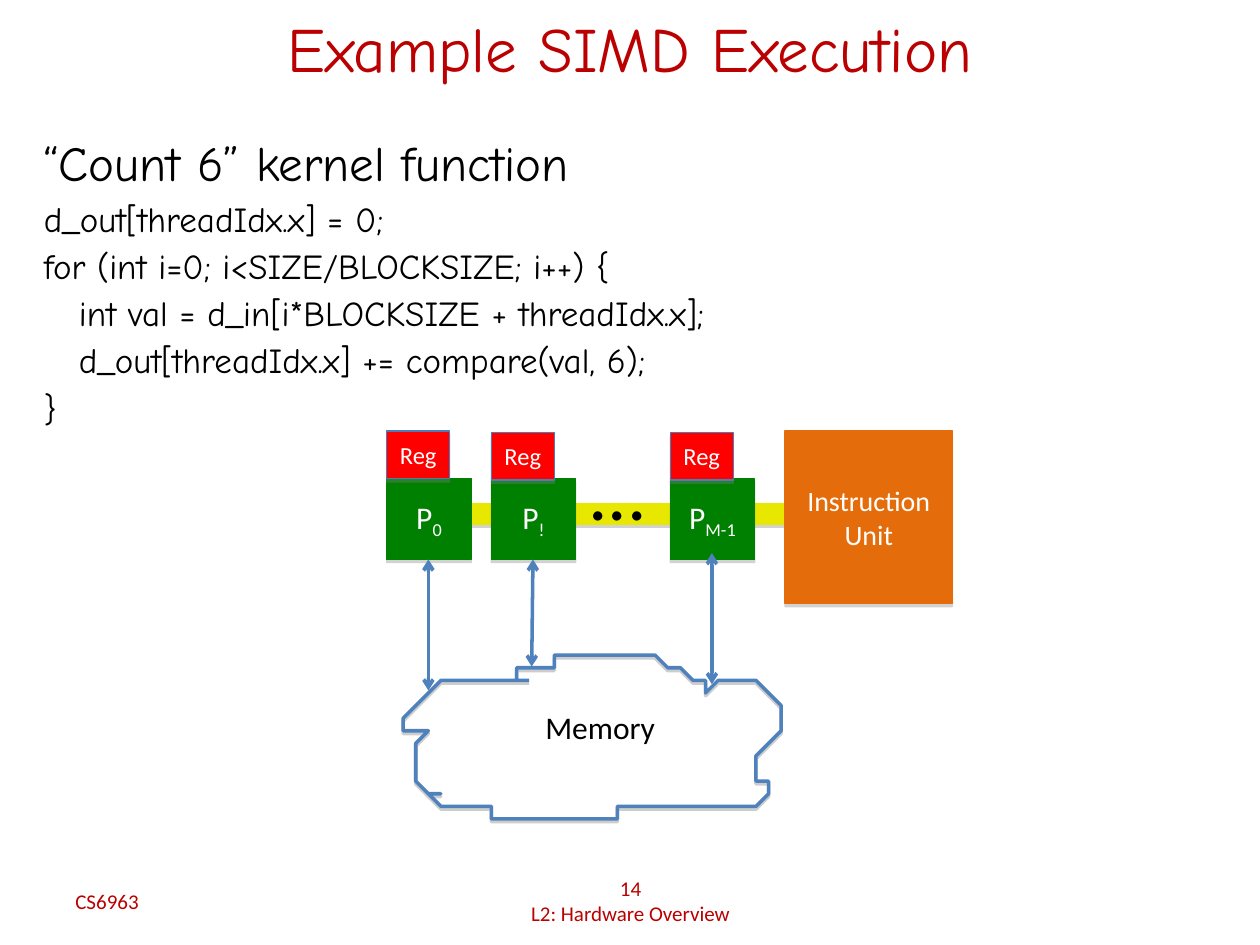
from dataclasses import dataclass

from lxml.etree import SubElement
from pptx import Presentation
from pptx.dml.color import RGBColor
from pptx.enum.shapes import MSO_CONNECTOR, MSO_SHAPE
from pptx.enum.text import MSO_ANCHOR, PP_ALIGN
from pptx.oxml.ns import qn
from pptx.util import Inches, Pt

COLORS = {
    "title": "BA0000", "text": "000000", "label": "FFFFFF", "bus": "E7E700",
    "core": "008000", "unit": "E46C0A", "register": "FF0000",
    "register_edge": "4A7EBB", "link": "4F81BD", "shadow": "808080",
}
COLUMNS, ROWS = 100, 75
CELL = Inches(0.1)
HEAD_FONT, BODY_FONT = "Comic Neue", "Calibri"


@dataclass
class Box:
    col: float
    row: float
    cols: float
    rows: float


@dataclass
class Core:
    col: float
    index: str
    register_row: float
    arrow_top: float
    arrow_end: tuple[float, float]


@dataclass
class Caption:
    box: Box
    text: str
    size: float
    color: str = "text"
    font: str = BODY_FONT
    align: PP_ALIGN = PP_ALIGN.LEFT
    anchor: MSO_ANCHOR = MSO_ANCHOR.TOP
    wrap: bool = True


CORES = [
    Core(30.7, "0", 34.2, 44.4, (34, 54.8)),
    Core(39, "!", 34.3, 44.4, (42.2, 52.9)),
    Core(53.2, "M-1", 34.3, 43.9, (56.5, 54.3)),
]

CAPTIONS = [
    Caption(Box(5, -2.5, 90, 12.5), "Example SIMD Execution", 36, "title", HEAD_FONT,
            PP_ALIGN.CENTER, MSO_ANCHOR.MIDDLE),
    Caption(Box(45.7, 34.7, 7.5, 8.4), "...", 44),
    Caption(Box(42.3, 55.7, 10.7, 4), "Memory", 18, wrap=False),
    Caption(Box(5, 69.5, 23.3, 4), "CS6963", 12, "title", anchor=MSO_ANCHOR.MIDDLE),
    Caption(Box(34.2, 69.5, 31.7, 4), "14\nL2: Hardware Overview", 12, "title",
            align=PP_ALIGN.CENTER, anchor=MSO_ANCHOR.MIDDLE),
]

KERNEL = """“Count 6” kernel function
d_out[threadIdx.x] = 0;
for (int i=0; i<SIZE/BLOCKSIZE; i++) {
   int val = d_in[i*BLOCKSIZE + threadIdx.x];
   d_out[threadIdx.x] += compare(val, 6);
}"""

CLOUD = [
    (42.5, 54), (40.3, 53.9), (38.7, 53.8), (37, 53.9), (35.3, 54), (34.8, 54.4),
    (33.5, 55.4), (33, 56), (33.1, 56.1), (32.7, 56.4), (32.3, 57.2), (32.2, 57.6),
    (32.3, 58.1), (32.8, 58.4), (33.7, 58.5), (33.2, 58.8), (32.8, 59.3), (32.7, 60.2),
    (33, 62.2), (33.3, 62.4), (34.1, 62.8), (35, 63.3), (34.3, 62.9), (35.2, 63.6),
    (36.2, 64.1), (37.2, 64), (37.5, 63.7), (38, 63.6), (38.2, 64), (38.7, 64.5),
    (39.2, 64.8), (41.2, 65.2), (43.7, 65.2), (46.5, 65.3), (48.7, 65.1), (48.9, 64.7),
    (48.7, 63.9), (48.8, 63.5), (51.5, 63.7), (57.3, 64), (58.7, 64.1), (59.8, 64.4),
    (60.3, 64.3), (60.5, 63.9), (60.6, 63.1), (60.8, 62.6), (60.6, 61.9), (60.1, 61.8),
    (60, 61.4), (60.4, 60.3), (61, 59.3), (61.3, 58.6), (61.8, 58), (62, 57.6),
    (62.3, 57.2), (62.1, 56.8), (61.9, 56.2), (61.5, 55.8), (61, 55.1), (60.6, 54.7),
    (60.3, 54.2), (59.8, 53.9), (58.8, 54), (58.3, 54.2), (57, 54.4), (56.5, 54.7),
    (56.2, 54.2), (55.4, 53.6), (54.3, 53.1), (53.5, 52.9), (53, 52.6), (52.3, 52.5),
    (51.8, 52.3), (44.3, 52.5), (43.7, 52.6), (42.2, 52.9), (41.8, 53.3), (41.3, 53.4),
    (40.9, 53.7), (40.8, 53.8),
]


def rgb(name: str) -> RGBColor:
    return RGBColor.from_string(COLORS[name])


def place(box: Box) -> list[int]:
    return [round(v * CELL) for v in (box.col, box.row, box.cols, box.rows)]


def style_run(r, size: float, color: str, font: str) -> None:
    r.font.size, r.font.name = Pt(size), font
    r.font.color.rgb = rgb(color)


def add_shadow(sp, distance: float, opacity: int) -> None:
    sp.shadow.inherit = False
    effects = sp._element.spPr.find(qn("a:effectLst"))
    shadow = SubElement(effects, qn("a:outerShdw"), blurRad="0", dist=str(Pt(distance)),
                        dir="5400000", rotWithShape="0")
    color = SubElement(shadow, qn("a:srgbClr"), val=COLORS["shadow"])
    SubElement(color, qn("a:alpha"), val=str(opacity * 1000))


def add_caption(s, caption: Caption):
    tf = s.shapes.add_textbox(*place(caption.box)).text_frame
    tf.word_wrap, tf.vertical_anchor = caption.wrap, caption.anchor
    tf.text = caption.text
    for p in tf.paragraphs:
        p.alignment = caption.align
        style_run(p.runs[0], caption.size, caption.color, caption.font)
    return tf


def add_kernel(s) -> None:
    tf = add_caption(s, Caption(Box(2.5, 10, 62.5, 25.8), KERNEL, 20, font=HEAD_FONT))
    heading, *code = tf.paragraphs
    heading.runs[0].font.size = Pt(28)
    for p in code:
        p.line_spacing, p.space_before = 0.75, Pt(9)
    for p in tf.paragraphs:
        pPr = p._p.get_or_add_pPr()
        pPr.set("marL", str(Inches(0.38)))
        pPr.set("indent", str(-Inches(0.38)))


def add_block(s, box: Box, fill: str, edge: str, text: str = "", size: float = 18,
              subscript: str = "") -> None:
    sp = s.shapes.add_shape(MSO_SHAPE.RECTANGLE, *place(box))
    sp.fill.solid()
    sp.fill.fore_color.rgb = rgb(fill)
    sp.line.color.rgb, sp.line.width = rgb(edge), Pt(0.75)
    add_shadow(sp, 1.8, 35)
    tf = sp.text_frame
    tf.word_wrap, tf.vertical_anchor = True, MSO_ANCHOR.MIDDLE
    tf.text = text
    if subscript:
        r = tf.paragraphs[0].add_run()
        r.text = subscript
        r.font._element.set("baseline", "-25000")
    for p in tf.paragraphs:
        p.alignment = PP_ALIGN.CENTER
        for r in p.runs:
            style_run(r, size, "label", BODY_FONT)


def add_arrow(s, start: tuple[float, float], end: tuple[float, float]) -> None:
    ends = [round(v * CELL) for v in (*start, *end)]
    line = s.shapes.add_connector(MSO_CONNECTOR.STRAIGHT, *ends)
    line.line.color.rgb, line.line.width = rgb("link"), Pt(2)
    ln = line.line._get_or_add_ln()
    for tip in ("a:headEnd", "a:tailEnd"):
        SubElement(ln, qn(tip), type="arrow")
    SubElement(line._element.spPr, qn("a:effectLst"))


def add_core(s, core: Core) -> None:
    add_block(s, Box(core.col, 38, 6.7, 6.4), "core", "core", "P", 18, core.index)
    add_block(s, Box(core.col, core.register_row, 5, 3.8), "register", "register_edge",
              "Reg", 14)
    add_arrow(s, (core.col + 3.3, core.arrow_top), core.arrow_end)


def add_cloud(s) -> None:
    builder = s.shapes.build_freeform(*CLOUD[0], scale=CELL)
    builder.add_line_segments(CLOUD[1:], close=False)
    sp = builder.convert_to_shape()
    sp.fill.background()
    sp.line.color.rgb, sp.line.width = rgb("link"), Pt(2)
    add_shadow(sp, 1.6, 38)


def main() -> None:
    prs = Presentation()
    prs.slide_width, prs.slide_height = COLUMNS * CELL, ROWS * CELL
    s = prs.slides.add_slide(prs.slide_layouts[6])
    add_kernel(s)
    add_block(s, Box(35.7, 40, 26.7, 1.6), "bus", "bus")
    add_block(s, Box(62.3, 34.2, 13.3, 13.7), "unit", "unit", "Instruction\nUnit", 16)
    add_cloud(s)
    for core in CORES:
        add_core(s, core)
    for caption in CAPTIONS:
        add_caption(s, caption)
    prs.save("out.pptx")


if __name__ == "__main__":
    main()
